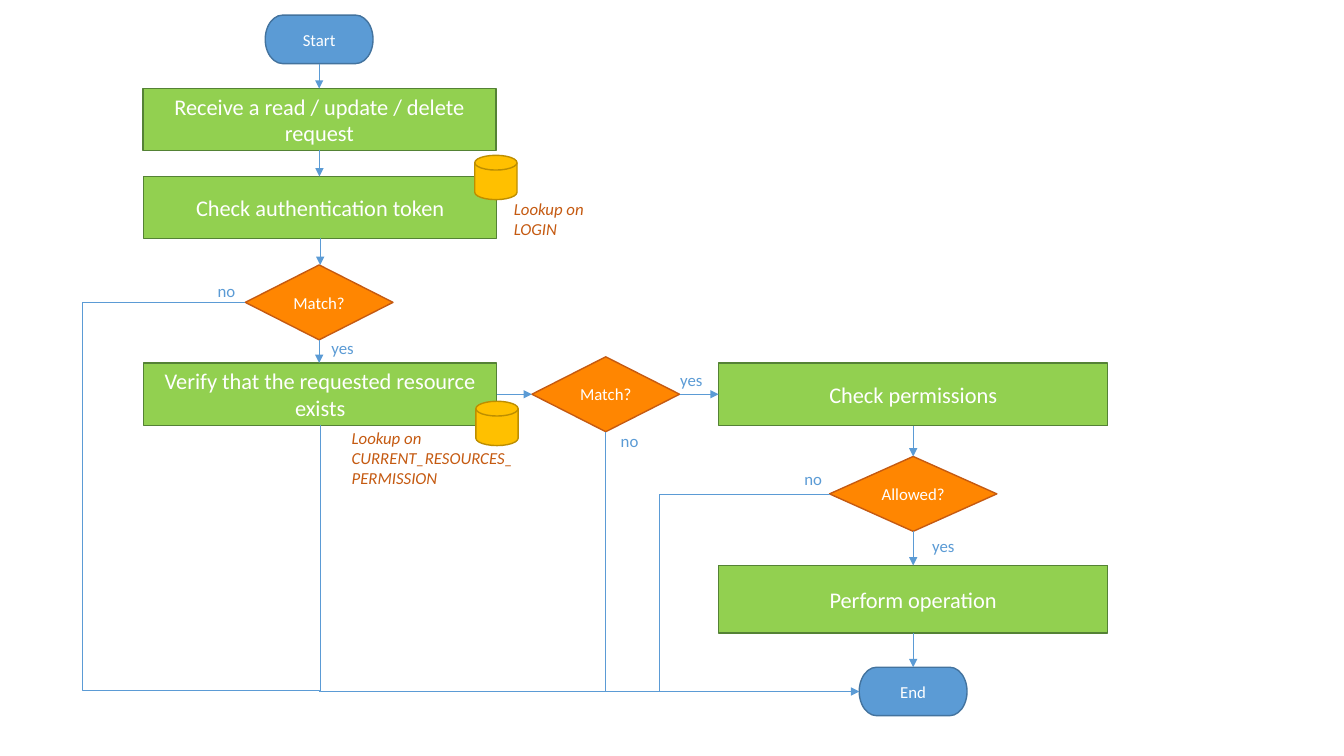
"""Build a one-slide flowchart of how a resource request is authorised."""
from lxml import etree
from pptx import Presentation
from pptx import util as u
from pptx.dml.color import RGBColor
from pptx.enum import shapes, text
from pptx.oxml import ns

THEME = {
    "font": "Calibri", "white": "FFFFFF", "blue": "5B9BD5", "note": "C55A11",
    "small": 12, "large": 16, "outline": 1, "wire": 0.5,
}
SHAPE = shapes.MSO_SHAPE
KINDS = {
    "terminator": (SHAPE.FLOWCHART_TERMINATOR, THEME["blue"], "43739E", THEME["small"]),
    "process": (SHAPE.FLOWCHART_PROCESS, "92D050", "548235", THEME["large"]),
    "decision": (SHAPE.FLOWCHART_DECISION, "FF8601", "C55A11", THEME["small"]),
    "database": (SHAPE.FLOWCHART_MAGNETIC_DISK, "FFC000", "BD8E00", THEME["small"]),
}
LEFT, MIDDLE, RIGHT = 228.7, 432.7, 652.3
STEP_ROW, END_ROW = 281.6, 493.9
NODES = {
    "start": ("terminator", "Start", LEFT - 0.7, 28.1, 77, 34.6),
    "receive": ("process", "Receive a read / update / delete request", LEFT - 0.5, 85.4, 252, 44.2),
    "token": ("process", "Check authentication token", LEFT, 148.2, 252, 44.2),
    "token match": ("decision", "Match?", LEFT - 0.7, 216, 105.5, 53.5),
    "verify": ("process", "Verify that the requested resource exists", LEFT, STEP_ROW, 252, 44.5),
    "resource match": ("decision", "Match?", MIDDLE, STEP_ROW, 105.5, 53.5),
    "permissions": ("process", "Check permissions", RIGHT, STEP_ROW, 278, 44.8),
    "allowed": ("decision", "Allowed?", RIGHT, 352.8, 119.5, 53.5),
    "perform": ("process", "Perform operation", RIGHT, 428, 278, 48.2),
    "end": ("terminator", "End", RIGHT, END_ROW, 77, 34.6),
    "login table": ("database", "", 354.2, 126.8, 30.2, 31.7),
    "permission table": ("database", "", 355, 302.5, 30.2, 31.7),
}
DOWN_ARROWS = [
    ("start", "receive"), ("receive", "token"), ("token", "token match"),
    ("token match", "verify"), ("permissions", "allowed"),
    ("allowed", "perform"), ("perform", "end"),
]
RIGHT_ARROWS = [("verify", "resource match"), ("resource match", "permissions")]
ANSWERS = [
    ("no", 148.3, 196.6), ("yes", 229.7, 237.6), ("yes", 478.8, 260.6),
    ("no", 436.3, 303.8), ("no", 567.4, 331.2), ("yes", 658.8, 379.4),
]
ANSWER_WIDTHS = {"yes": 31, "no": 27.4}
NOTES = [
    ("Lookup on LOGIN", 360, 138.2, 72.7, 36),
    ("Lookup on CURRENT_RESOURCES_PERMISSION", 244.1, 301.7, 132.5, 51),
]


def assign(target, formats):
    for name, value in formats.items():
        setattr(target, name, value)


def write(shape, wording, size, color, align, **formats):
    frame = shape.text_frame
    assign(frame, formats)
    paragraph = frame.paragraphs[0]
    paragraph.alignment = align
    run = paragraph.add_run()
    run.text = wording
    assign(run.font, {"name": THEME["font"], "size": u.Pt(size)})
    run.font.color.rgb = RGBColor.from_string(color)
    return run


def add_node(slide, kind, wording, x, y, width, height):
    preset, fill, outline, size = KINDS[kind]
    box = map(u.Pt, (x - width / 2, y - height / 2, width, height))
    shape = slide.shapes.add_shape(preset, *box)
    shape.shadow.inherit = False
    shape.fill.solid()
    shape.fill.fore_color.rgb = RGBColor.from_string(fill)
    shape.line.color.rgb = RGBColor.from_string(outline)
    shape.line.width = u.Pt(THEME["outline"])
    if wording:
        write(shape, wording, size, THEME["white"], text.PP_ALIGN.CENTER,
              word_wrap=True, vertical_anchor=text.MSO_ANCHOR.MIDDLE)


def add_label(slide, wording, box, color, wrap, italic):
    label = slide.shapes.add_textbox(*map(u.Pt, box))
    run = write(label, wording, THEME["small"], color, text.PP_ALIGN.LEFT, word_wrap=wrap)
    run.font.italic = italic


def port(name, side):
    x, y, width, height = NODES[name][2:]
    across, down = {"left": (-1, 0), "right": (1, 0), "top": (0, -1), "bottom": (0, 1)}[side]
    return x + across * width / 2, y + down * height / 2


def add_wire(slide, start, end, arrow=True, bend=None, turn=0, flip="", adjust=()):
    if bend:
        x, y = ((a + b) / 2 for a, b in zip(start, end))
        width, height = (abs(b - a) for a, b in zip(start, end))
        if turn % 180:
            width, height = height, width
        across = -width / 2 if flip == "h" else width / 2
        down = -height / 2 if flip == "v" else height / 2
        start, end = (x - across, y - down), (x + across, y + down)
    kind = shapes.MSO_CONNECTOR.ELBOW if bend else shapes.MSO_CONNECTOR.STRAIGHT
    wire = slide.shapes.add_connector(kind, *map(u.Pt, (*start, *end)))
    wire.line.color.rgb = RGBColor.from_string(THEME["blue"])
    wire.line.width = u.Pt(THEME["wire"])
    properties = wire.element.spPr
    if bend:
        properties.find(ns.qn("a:xfrm")).set("rot", str(turn * 60000))
        geometry = properties.find(ns.qn("a:prstGeom"))
        geometry.set("prst", bend)
        guides = geometry.find(ns.qn("a:avLst"))
        for number, value in enumerate(adjust, 1):
            etree.SubElement(guides, ns.qn("a:gd"), name=f"adj{number}", fmla=f"val {value}")
    if arrow:
        etree.SubElement(properties.get_or_add_ln(), ns.qn("a:tailEnd"), type="triangle")
    etree.SubElement(properties, ns.qn("a:effectLst"))


presentation = Presentation()
assign(presentation, {"slide_width": u.Pt(960), "slide_height": u.Pt(540)})
slide = presentation.slides.add_slide(presentation.slide_layouts[6])

for node in NODES.values():
    add_node(slide, *node)

for upper, lower in DOWN_ARROWS:
    start, end = port(upper, "bottom"), port(lower, "top")
    add_wire(slide, start, (start[0], end[1]))
for before, after in RIGHT_ARROWS:
    add_wire(slide, port(before, "right"), port(after, "left"))

add_wire(slide, port("verify", "bottom"), port("end", "left"),
         bend="bentConnector2", turn=270, flip="h")
add_wire(slide, port("resource match", "bottom"), (MIDDLE, END_ROW), arrow=False)
add_wire(slide, port("allowed", "left"), (471, END_ROW), arrow=False,
         bend="bentConnector2", turn=180, flip="v")
add_wire(slide, (LEFT - 0.7, END_ROW), port("token match", "left"), arrow=False,
         bend="bentConnector4", turn=270, flip="v", adjust=(200, 321300))

for wording, left, top in ANSWERS:
    add_label(slide, wording, (left, top, ANSWER_WIDTHS[wording], 21.8),
              THEME["blue"], wrap=False, italic=False)
for wording, *box in NOTES:
    add_label(slide, wording, box, THEME["note"], wrap=True, italic=True)

presentation.save("out.pptx")
